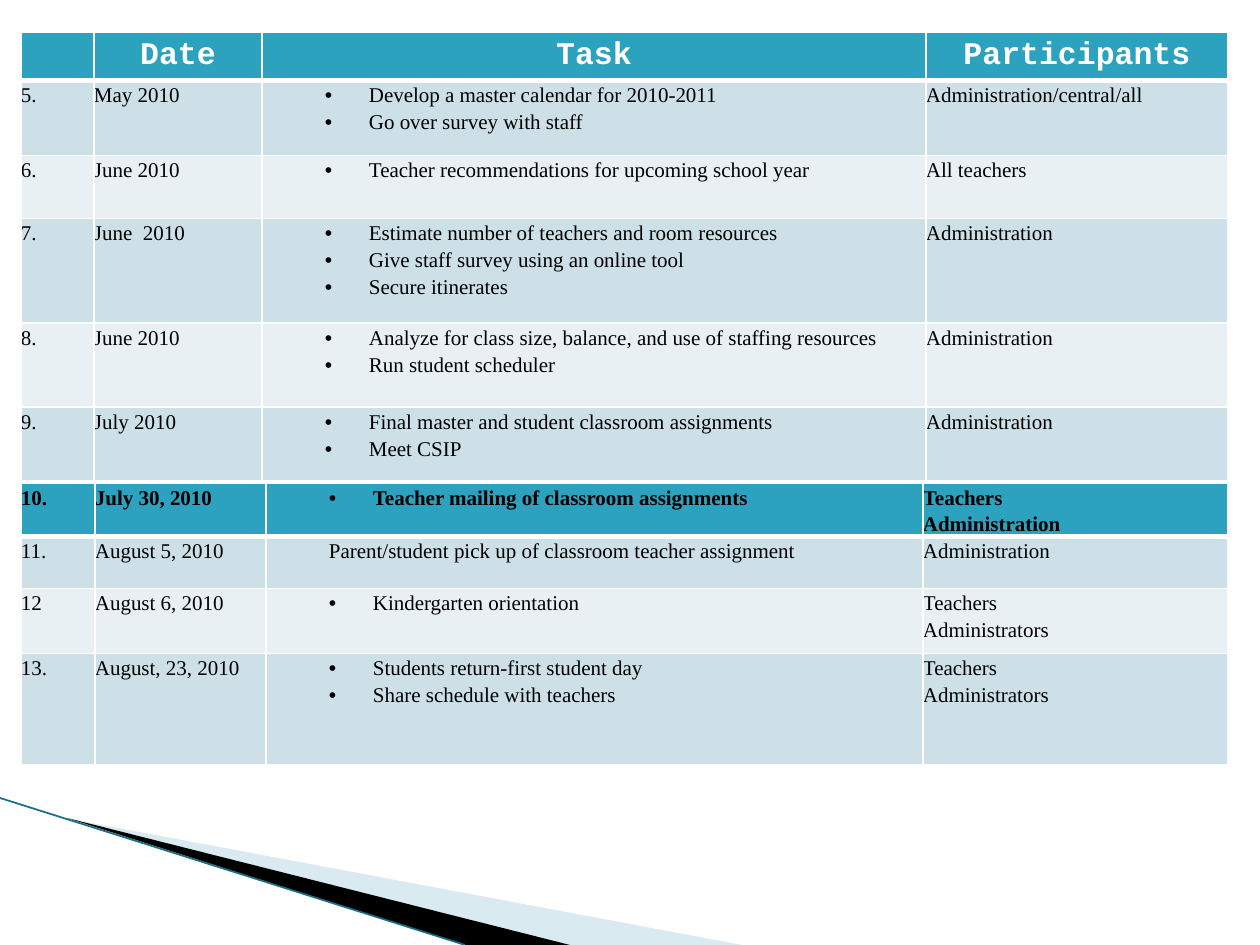
from dataclasses import dataclass
from typing import Any

from lxml.etree import SubElement
from pptx import Presentation
from pptx.dml.color import RGBColor
from pptx.enum.text import PP_ALIGN
from pptx.oxml import parse_xml
from pptx.oxml.ns import nsdecls, qn
from pptx.util import Emu, Pt

PX = 914400 // 126
TEAL = RGBColor(0x2D, 0xA2, 0xBF)
DARK_TEAL = RGBColor(0x1B, 0x6F, 0x84)
PALE_BLUE = RGBColor(0xA0, 0xCB, 0xDC)
BAND_DARK = RGBColor(0xCD, 0xE0, 0xE8)
BAND_LIGHT = RGBColor(0xE8, 0xF0, 0xF4)
WHITE = RGBColor(0xFF, 0xFF, 0xFF)
BLACK = RGBColor(0, 0, 0)

HEADING = {"name": "Courier New", "size": Pt(18), "bold": True}
BODY = {"name": "Times New Roman", "size": Pt(12), "bold": False}
STRONG = BODY | {"bold": True}
NO_MARGINS = dict.fromkeys(("margin_left", "margin_right", "margin_top", "margin_bottom"), 0)
PLAIN_TABLE = {"first_row": False, "horz_banding": False}
TASK_COLUMN = 2
TASK_INDENT, BULLET_HANG = 63, 44


@dataclass(frozen=True)
class Row:
    """One table row: its height and the lines of its four cells."""
    height: int
    number: str
    date: str
    tasks: tuple[str, ...]
    participants: tuple[str, ...]
    style: str = "body"
    bulleted: bool = True

    @property
    def cells(self) -> tuple[tuple[str, ...], ...]:
        """Return the lines of every cell from left to right."""
        return (self.number,), (self.date,), self.tasks, self.participants


@dataclass(frozen=True)
class Schedule:
    """A table with its top edge, column widths and rows."""
    top: int
    columns: tuple[int, ...]
    rows: tuple[Row, ...]


@dataclass(frozen=True)
class Wedge:
    """A filled triangle of the footer decoration."""
    points: tuple[tuple[int, int], ...]
    color: RGBColor
    opacity: int = 100


SCHEDULES = (
    Schedule(32, (73, 168, 664, 302), (
        Row(48, "", "Date", ("Task",), ("Participants",), "heading", False),
        Row(75, "5.", "May 2010",
            ("Develop a master calendar for 2010-2011", "Go over survey with staff"),
            ("Administration/central/all",)),
        Row(63, "6.", "June 2010",
            ("Teacher recommendations for upcoming school year",), ("All teachers",)),
        Row(105, "7.", "June\u00a0 2010",
            ("Estimate number of teachers and room resources",
             "Give staff survey using an online tool", "Secure itinerates"),
            ("Administration",)),
        Row(84, "8.", "June 2010",
            ("Analyze for class size, balance, and use of staffing resources",
             "Run student scheduler"), ("Administration",)),
        Row(74, "9.", "July 2010",
            ("Final master and student classroom assignments", "Meet CSIP"),
            ("Administration",)),
    )),
    Schedule(483, (74, 171, 657, 305), (
        Row(53, "10.", "July 30, 2010", ("Teacher mailing of classroom assignments",),
            ("Teachers", "Administration"), "strong"),
        Row(52, "11.", "August 5, 2010",
            ("Parent/student pick up of classroom teacher assignment",),
            ("Administration",), bulleted=False),
        Row(65, "12", "August 6, 2010", ("Kindergarten orientation",),
            ("Teachers", "Administrators")),
        Row(111, "13.", "August, 23, 2010",
            ("Students return-first student day", "Share schedule with teachers"),
            ("Teachers", "Administrators")),
    )),
)
WEDGES = (
    Wedge(((70, 819), (742, 945), (570, 945)), PALE_BLUE, 40),
    Wedge(((67, 818), (570, 945), (465, 945)), BLACK),
)


def px(length: int) -> Emu:
    """Turn pixels into EMU."""
    return Emu(length * PX)


def apply(target: Any, values: dict[str, Any]) -> None:
    """Set every attribute named in a dict of format values."""
    for name, value in values.items():
        setattr(target, name, value)


def add_borders(cell: Any, top: int, bottom: int) -> None:
    """Draw white cell borders; top and bottom widths are in points."""
    properties = cell._tc.get_or_add_tcPr()
    for position, (side, width) in enumerate({"L": 1, "R": 1, "T": top, "B": bottom}.items()):
        properties.insert(position, parse_xml(
            f'<a:ln{side} {nsdecls("a")} w="{Pt(width)}"><a:solidFill>'
            f'<a:srgbClr val="{WHITE}"/></a:solidFill></a:ln{side}>'))


def indent_task(paragraph: Any, bulleted: bool) -> None:
    """Indent a task line and give it a hanging bullet if wanted."""
    properties = paragraph._p.get_or_add_pPr()
    hang = BULLET_HANG if bulleted else 0
    properties.set("marL", str(px(TASK_INDENT + hang)))
    properties.set("indent", str(px(-hang)))
    if bulleted:
        SubElement(properties, qn("a:buFont"), typeface="Arial")
        SubElement(properties, qn("a:buChar"), char="•")


def fill_cell(cell: Any, lines: tuple[str, ...], row: Row, is_task: bool) -> None:
    """Write the lines of one cell in the style of its row."""
    heading = row.style == "heading"
    if not heading or not lines[0]:
        apply(cell, NO_MARGINS)
    cell.text_frame.text = "\n".join(lines)
    for paragraph in cell.text_frame.paragraphs:
        if heading:
            paragraph.alignment = PP_ALIGN.CENTER
        else:
            paragraph.line_spacing = 1.15
        if is_task and not heading:
            indent_task(paragraph, row.bulleted)
        for run in paragraph.runs:
            apply(run.font, {"heading": HEADING, "strong": STRONG, "body": BODY}[row.style])
            run.font.color.rgb = WHITE if heading else BLACK


def add_schedule(shapes: Any, schedule: Schedule) -> None:
    """Add one schedule table whose first row is accented and the rest banded."""
    height = sum(row.height for row in schedule.rows)
    table = shapes.add_table(len(schedule.rows), len(schedule.columns), px(21),
                             px(schedule.top), px(sum(schedule.columns)), px(height)).table
    apply(table, PLAIN_TABLE)
    for column, width in zip(table.columns, schedule.columns):
        column.width = px(width)
    for index, row in enumerate(schedule.rows):
        table.rows[index].height = px(row.height)
        band = TEAL if index == 0 else (BAND_LIGHT, BAND_DARK)[index % 2]
        for column, lines in enumerate(row.cells):
            cell = table.cell(index, column)
            fill_cell(cell, lines, row, column == TASK_COLUMN)
            cell.fill.solid()
            cell.fill.fore_color.rgb = band
            add_borders(cell, 3 if index == 1 else 1, 3 if index == 0 else 1)


def add_wedge(shapes: Any, wedge: Wedge) -> None:
    """Add one filled triangle."""
    start, *others = wedge.points
    builder = shapes.build_freeform(*start, scale=PX)
    builder.add_line_segments(others, close=True)
    triangle = builder.convert_to_shape()
    triangle.shadow.inherit = False
    triangle.line.fill.background()
    triangle.fill.solid()
    triangle.fill.fore_color.rgb = wedge.color
    if wedge.opacity < 100:
        color = triangle._element.spPr.find(qn("a:solidFill"))[0]
        SubElement(color, qn("a:alpha"), val=str(wedge.opacity * 1000))


def add_edge(shapes: Any) -> None:
    """Add the thin slanted line along the wedges."""
    edge = shapes.add_connector(1, px(0), px(798), px(465), px(945))
    edge.line.color.rgb = DARK_TEAL
    edge.line.width = Pt(1)
    SubElement(edge._element.spPr, qn("a:effectLst"))


def main() -> None:
    """Build the slide and save it."""
    deck = Presentation()
    apply(deck, {"slide_width": px(1260), "slide_height": px(945)})
    shapes = deck.slides.add_slide(deck.slide_layouts[6]).shapes
    for wedge in WEDGES:
        add_wedge(shapes, wedge)
    add_edge(shapes)
    for schedule in SCHEDULES:
        add_schedule(shapes, schedule)
    deck.save("out.pptx")


main()
